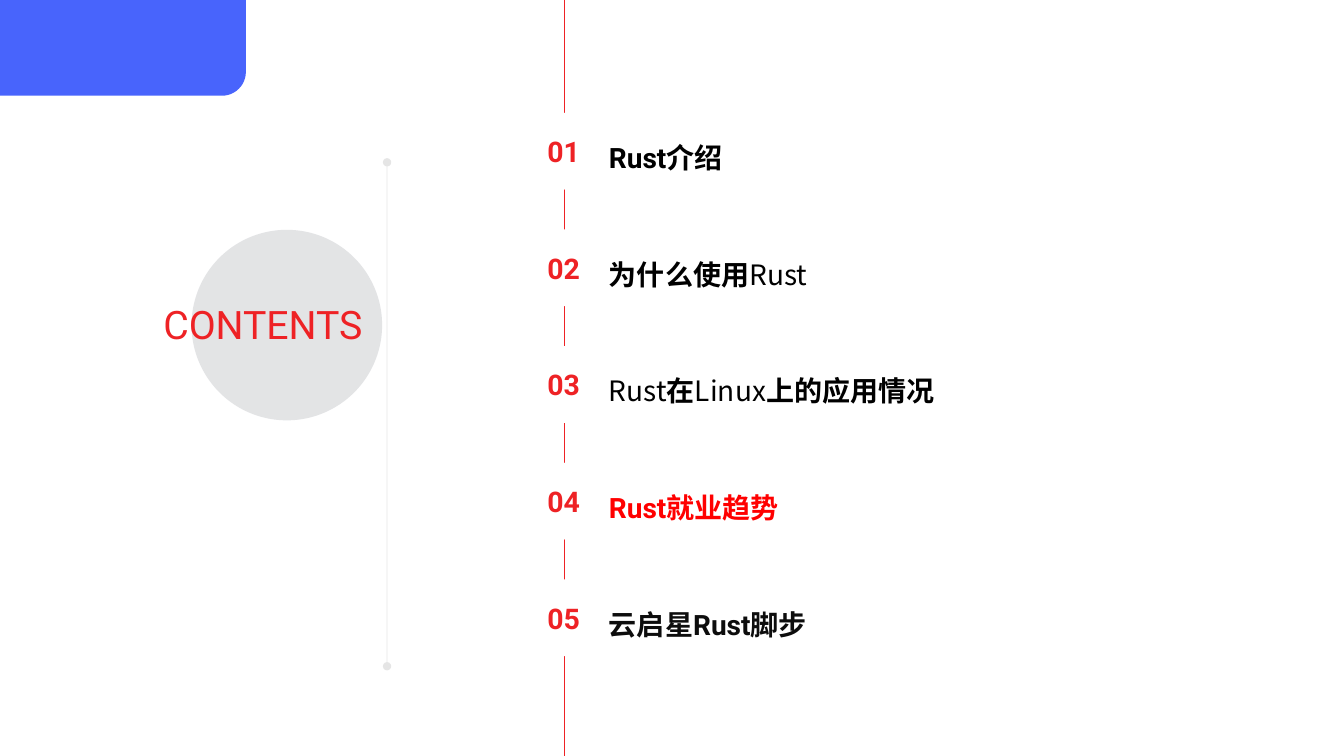
from pptx import Presentation, util as u
from pptx.dml.color import RGBColor
from pptx.enum import shapes, text
from pptx.oxml import ns
from lxml import etree

WIDTH, HEIGHT = u.Inches(13.33), u.Inches(7.5)
RED, BLACK, WHITE = "EE2225", "000000", "FFFFFF"
LATIN, CJK = "Roboto", "Noto Sans CJK SC"
FIRST_ROW, ROW_PITCH = 15.33, 15.43
LINE_PT = 29
PITCH_PT = ROW_PITCH / 100 * HEIGHT.pt

AGENDA = [
    [("Rust介绍", {})],
    [("为什么使用", {"font": CJK}), ("Rust", {"font": CJK, "bold": False})],
    [("Rust", {"font": CJK, "bold": False}), ("在", {"font": CJK}),
     ("Linux", {"font": CJK, "bold": False}), ("上的应用情况", {"font": CJK})],
    [("Rust就业趋势", {"color": "FF0000"})],
    [("云启星Rust脚步", {"color": "0D0D0D"})],
]


def across(percent):
    return round(WIDTH * percent / 100)


def down(percent):
    return round(HEIGHT * percent / 100)


def area(left, top, width, height):
    return across(left), down(top), across(width), down(height)


def paint(color_format, color, opacity=None):
    color_format.rgb = RGBColor.from_string(color)
    if opacity is not None:
        color_element = color_format._xFill.find(ns.qn("a:srgbClr"))
        etree.SubElement(color_element, ns.qn("a:alpha"), val=str(opacity * 1000))


def write(paragraph, words, font=LATIN, size=20, color=BLACK, bold=True):
    run = paragraph.add_run()
    run.text = words
    run.font.name, run.font.size, run.font.bold = font, u.Pt(size), bold
    paint(run.font.color, color)
    east_asian = etree.SubElement(run.font._element, ns.qn("a:ea"))
    east_asian.set("typeface", CJK)


def add_shape(slide, preset, bounds, fill, opacity=None, outline=None):
    shape = slide.shapes.add_shape(preset, *bounds)
    shape.shadow.inherit = False
    shape.fill.solid()
    paint(shape.fill.fore_color, fill, opacity)
    if outline:
        paint(shape.line.color, outline)
        shape.line.width = u.Pt(4.5)
    else:
        shape.line.fill.background()
    return shape


def add_upright(slide, x, top, bottom, color, opacity=None, ends=None):
    upright = slide.shapes.add_connector(
        shapes.MSO_CONNECTOR.STRAIGHT, across(x), down(top), across(x), down(bottom))
    upright.line.width = u.Pt(0.5)
    upright.line.fill.solid()
    paint(upright.line.color, color, opacity)
    properties = upright._element.spPr
    if ends:
        stroke = properties.find(ns.qn("a:ln"))
        for end in ("a:headEnd", "a:tailEnd"):
            etree.SubElement(stroke, ns.qn(end), type=ends)
    etree.SubElement(properties, ns.qn("a:effectLst"))


def place(placeholder, bounds):
    placeholder.left, placeholder.top, placeholder.width, placeholder.height = bounds
    tree = placeholder._element.getparent()
    tree.append(placeholder._element)
    frame = placeholder.text_frame
    frame.word_wrap = True
    frame.vertical_anchor = text.MSO_ANCHOR.TOP
    return frame


def add_corner_tab(slide):
    tab = add_shape(slide, shapes.MSO_SHAPE.ROUND_1_RECTANGLE,
                    area(0, 0, 18.3, 12.67), "4864FC")
    tab.adjustments[0] = 0.25
    tab._element.spPr.find(ns.qn("a:xfrm")).set("flipV", "1")


def add_number(slide, index):
    top = FIRST_ROW + index * ROW_PITCH
    disc = add_shape(slide, shapes.MSO_SHAPE.OVAL, area(39.31, top, 5.25, 9.33),
                     WHITE, outline=WHITE)
    frame = disc.text_frame
    frame.word_wrap = False
    frame.vertical_anchor = text.MSO_ANCHOR.MIDDLE
    number = frame.paragraphs[0]
    number.alignment = text.PP_ALIGN.CENTER
    write(number, f"{index + 1:02}", size=20.3, color=RED)


def fill_heading(slide):
    frame = place(slide.shapes.title, area(11.4, 39.07, 20.33, 7.6))
    frame.auto_size = text.MSO_AUTO_SIZE.SHAPE_TO_FIT_TEXT
    heading = frame.paragraphs[0]
    heading.alignment = text.PP_ALIGN.JUSTIFY
    write(heading, "CONTENTS", size=28, color=RED, bold=False)


def fill_agenda(slide):
    frame = place(slide.placeholders[1], area(44.56, 17, 42.53, 68))
    frame.auto_size = text.MSO_AUTO_SIZE.NONE
    for index, pieces in enumerate(AGENDA):
        entry = frame.add_paragraph() if index else frame.paragraphs[0]
        properties = entry._p.get_or_add_pPr()
        properties.set("marL", str(u.Inches(0.25)))
        properties.set("indent", str(u.Inches(-0.25)))
        etree.SubElement(properties, ns.qn("a:buNone"))
        entry.line_spacing = u.Pt(LINE_PT)
        entry.space_before = u.Pt(PITCH_PT - LINE_PT if index else 0)
        for words, style in pieces:
            write(entry, words, **style)


def main():
    deck = Presentation()
    deck.slide_width, deck.slide_height = WIDTH, HEIGHT
    slide = deck.slides.add_slide(deck.slide_layouts[1])
    add_upright(slide, 28.8, 21.47, 88.13, "808080", opacity=20, ends="oval")
    add_corner_tab(slide)
    add_upright(slide, 42, 0, 100, RED)
    for index in range(len(AGENDA)):
        add_number(slide, index)
    add_shape(slide, shapes.MSO_SHAPE.OVAL, area(14.25, 30.4, 14.18, 25.2),
              "D1D2D5", opacity=60)
    fill_heading(slide)
    fill_agenda(slide)
    deck.save("out.pptx")


if __name__ == "__main__":
    main()
